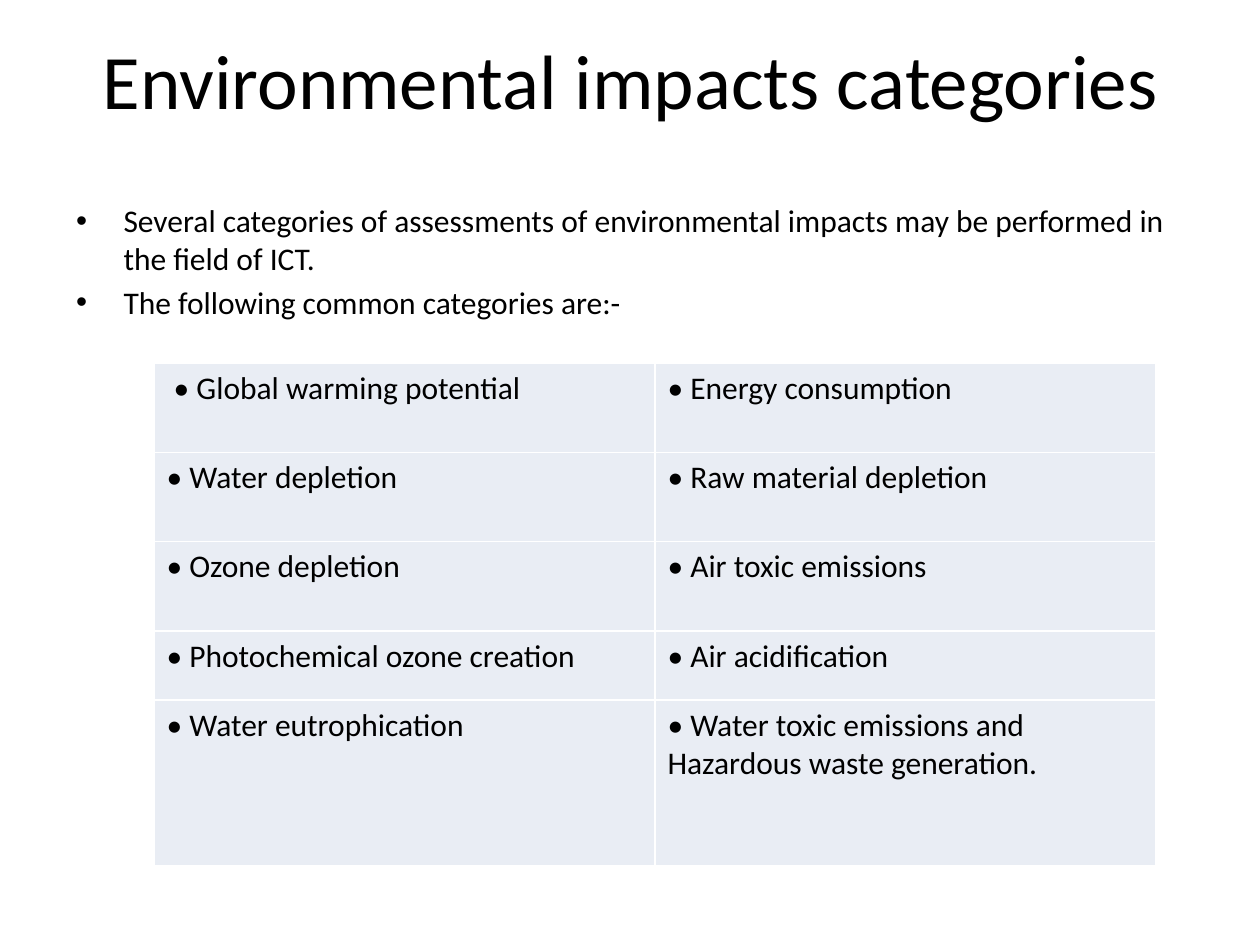
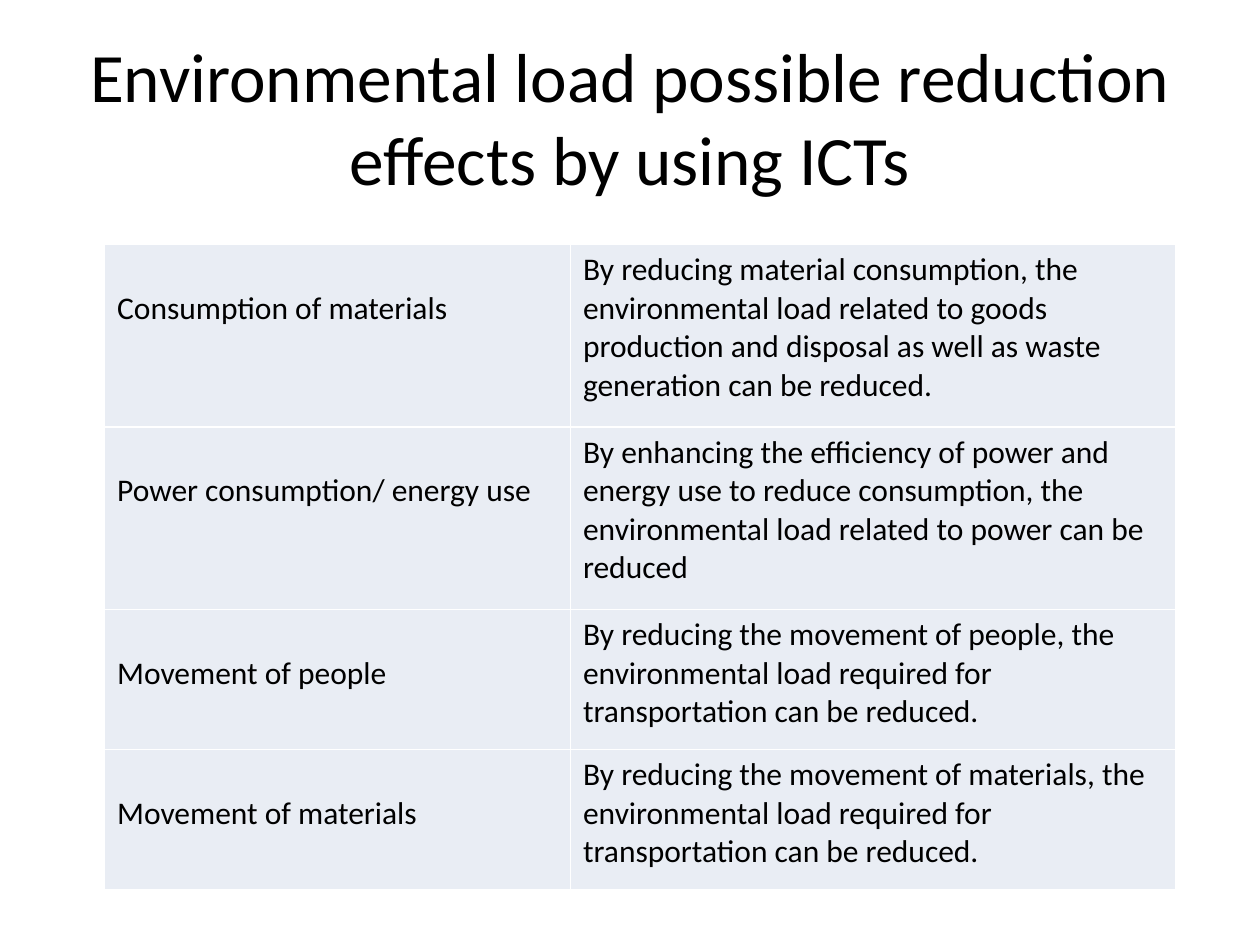
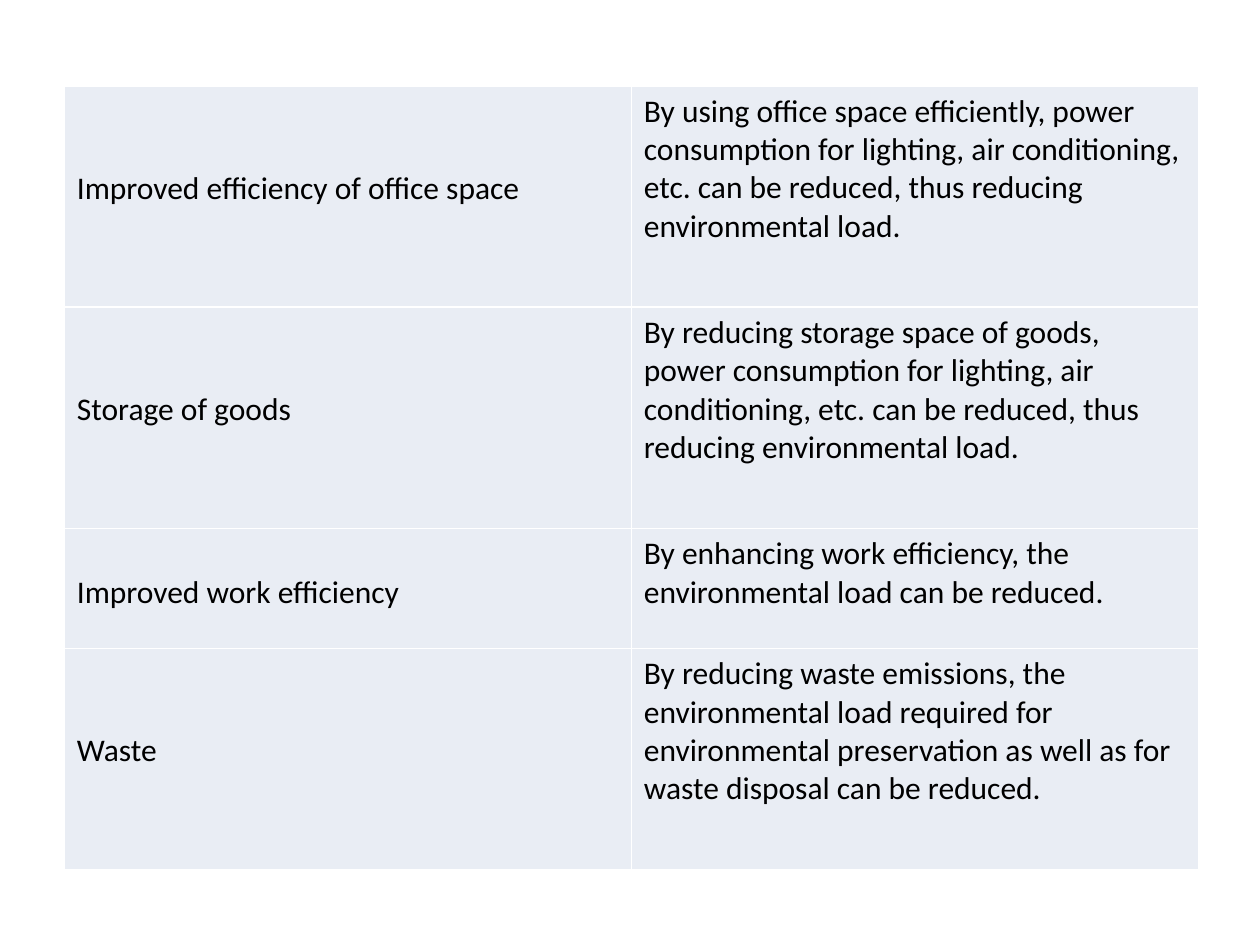
from lxml.etree import SubElement
from pptx import Presentation
from pptx.dml.color import RGBColor
from pptx.enum.text import MSO_ANCHOR, PP_ALIGN
from pptx.oxml.ns import qn
from pptx.util import Pt

COLORS = {"text": "000000", "cell": "E9EDF4", "border": "FFFFFF"}
FONT = "Calibri"
BODY_SIZE = 18
LINE = 22
INSET = 3.6
TITLE_FRAME = {"word_wrap": True, "vertical_anchor": MSO_ANCHOR.MIDDLE}
BODY_FRAME = {"word_wrap": True, "vertical_anchor": MSO_ANCHOR.TOP}
TITLE_PARA = {"alignment": PP_ALIGN.CENTER}
BODY_PARA = {"alignment": PP_ALIGN.LEFT, "space_before": Pt(3.6)}
PLAIN_TABLE = {"first_row": False, "horz_banding": False}

INTRO = [
    "Several categories of assessments of environmental impacts may be performed in the field of ICT.",
    "The following common categories are:-",
]
CATEGORIES = [
    ("• Global warming potential", "• Energy consumption"),
    ("• Water depletion", "• Raw material depletion"),
    ("• Ozone depletion", "• Air toxic emissions"),
    ("• Photochemical ozone creation", "• Air acidification"),
]
LAST_CATEGORIES = [
    ("• Water eutrophication", "• Water toxic emissions and Hazardous waste generation."),
]
LOAD_EFFECTS = [
    ("Consumption of materials",
     "By reducing material consumption, the environmental load related to goods production and disposal "
     "as well as waste generation can be reduced."),
    ("Power consumption/ energy use",
     "By enhancing the efficiency of power and energy use to reduce consumption, the environmental load "
     "related to power can be reduced"),
    ("Movement of people",
     "By reducing the movement of people, the environmental load required for transportation can be reduced."),
    ("Movement of materials",
     "By reducing the movement of materials, the environmental load required for transportation can be reduced."),
]
MORE_EFFECTS = [
    ("Improved efficiency of office space",
     "By using office space efficiently, power consumption for lighting, air conditioning, etc. can be reduced, "
     "thus reducing environmental load."),
    ("Storage of goods",
     "By reducing storage space of goods, power consumption for lighting, air conditioning, etc. can be reduced, "
     "thus reducing environmental load."),
    ("Improved work efficiency",
     "By enhancing work efficiency, the environmental load can be reduced."),
    ("Waste",
     "By reducing waste emissions, the environmental load required for environmental preservation as well as "
     "for waste disposal can be reduced."),
]


def set_attrs(obj, values):
    for name, value in values.items():
        setattr(obj, name, value)


def add_run(p, text, size=BODY_SIZE):
    r = p.add_run()
    r.text = text
    set_attrs(r.font, {"name": FONT, "size": Pt(size), "bold": False})
    r.font.color.rgb = RGBColor.from_string(COLORS["text"])


def add_frame(s, box, values):
    tf = s.shapes.add_textbox(*map(Pt, box)).text_frame
    set_attrs(tf, values)
    return tf


def add_title(s, box, text, size):
    p = add_frame(s, box, TITLE_FRAME).paragraphs[0]
    set_attrs(p, TITLE_PARA)
    add_run(p, text, size)


def add_bullets(s, box, items, indent=27):
    tf = add_frame(s, box, BODY_FRAME)
    for i, item in enumerate(items):
        p = tf.add_paragraph() if i else tf.paragraphs[0]
        set_attrs(p, BODY_PARA)
        pPr = p._p.get_or_add_pPr()
        pPr.set("marL", str(Pt(indent)))
        pPr.set("indent", str(-Pt(indent)))
        SubElement(pPr, qn("a:buFont"), typeface="Arial")
        SubElement(pPr, qn("a:buChar"), char="•")
        add_run(p, item)


def style_cell(cell):
    tcPr = cell._tc.get_or_add_tcPr()
    for side in ("lnL", "lnR", "lnT", "lnB"):
        ln = SubElement(tcPr, qn(f"a:{side}"), w=str(Pt(1)))
        fill = SubElement(ln, qn("a:solidFill"))
        SubElement(fill, qn("a:srgbClr"), val=COLORS["border"])
    cell.fill.solid()
    cell.fill.fore_color.rgb = RGBColor.from_string(COLORS["cell"])


def add_grid(s, left, top, widths, heights, rows, label_drops=None):
    box = (left, top, sum(widths), sum(heights))
    table = s.shapes.add_table(len(rows), len(widths), *map(Pt, box)).table
    set_attrs(table, PLAIN_TABLE)
    for column, width in zip(table.columns, widths):
        column.width = Pt(width)
    for i, (row, height, texts) in enumerate(zip(table.rows, heights, rows)):
        row.height = Pt(height)
        for cell, text in zip(row.cells, texts):
            style_cell(cell)
            add_run(cell.text_frame.paragraphs[0], text)
        if label_drops:
            row.cells[0].margin_top = Pt(INSET + LINE * label_drops[i])
    return table


def categories_slide(s):
    add_title(s, (36.5, 0, 648, 90), "Environmental impacts categories", 44)
    add_bullets(s, (36.5, 111.5, 648, 399), INTRO)
    left, widths = 88, [286.25] * 2
    table = add_grid(s, left, 207.5, widths, [51, 51, 51, 49], CATEGORIES)
    table.cell(0, 0).margin_left = Pt(11.3)
    add_grid(s, left, 400, widths, [94.5], LAST_CATEGORIES)


def load_effects_slide(s):
    add_title(s, (36, 21.6, 648, 90),
              "Environmental load possible reduction effects by using ICTs", 39.6)
    add_grid(s, 59.75, 139.75, [266.25, 345.75], [104.25, 104.25, 80, 80],
             LOAD_EFFECTS, [1] * 4)


def more_effects_slide(s):
    add_grid(s, 36.75, 49, [324] * 2, [126.5, 126.5, 68.5, 126.5],
             MORE_EFFECTS, [2, 2, 1, 2])


def main():
    prs = Presentation()
    set_attrs(prs, {"slide_width": Pt(720), "slide_height": Pt(540)})
    for build in (categories_slide, load_effects_slide, more_effects_slide):
        build(prs.slides.add_slide(prs.slide_layouts[6]))
    prs.save("out.pptx")


if __name__ == "__main__":
    main()
